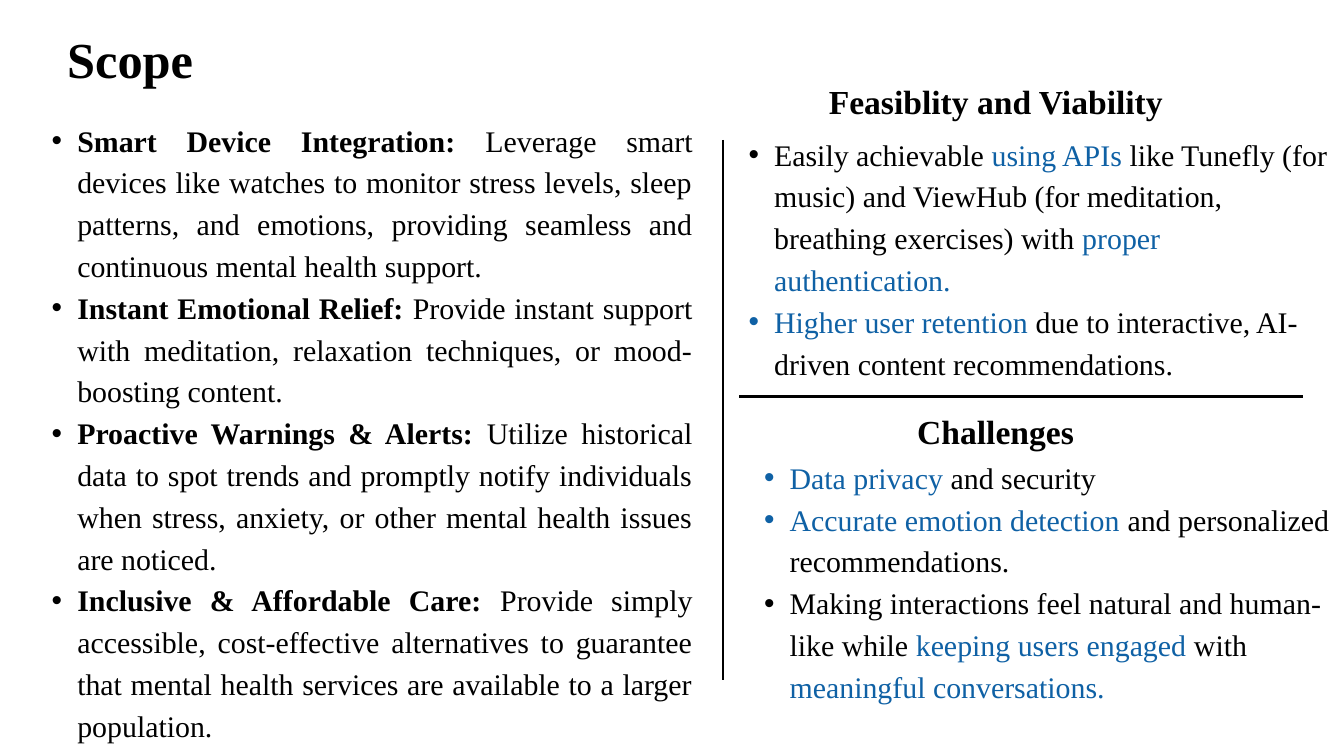
"""Build the slide on scope, feasibility and challenges of a wellbeing app."""
from lxml import etree
from pptx import Presentation
from pptx.dml.color import RGBColor
from pptx.enum import shapes, text
from pptx.oxml import ns
from pptx.util import Inches, Pt

BLACK = RGBColor(0x00, 0x00, 0x00)
BLUE = RGBColor(0x0F, 0x61, 0xA5)
FONT = "Times New Roman"
BODY_SIZE = 32
BODY_SPACING = 44.8
INDENT = 0.38

PLAIN = (BLACK, False)
STRONG = (BLACK, True)
ACCENT = (BLUE, False)

SCOPE = [
    [("Smart Device Integration: ", STRONG),
     ("Leverage smart devices like watches to monitor stress levels, sleep patterns, "
      "and emotions, providing seamless and continuous mental health support.", PLAIN)],
    [("Instant Emotional Relief: ", STRONG),
     ("Provide instant support with meditation, relaxation techniques, or "
      "mood-boosting content.", PLAIN)],
    [("Proactive Warnings & Alerts:", STRONG),
     (" Utilize historical data to spot trends and promptly notify individuals when "
      "stress, anxiety, or other mental health issues are noticed.", PLAIN)],
    [("Inclusive & Affordable Care:", STRONG),
     (" Provide simply accessible, cost-effective alternatives to guarantee that "
      "mental health services are available to a larger population.", PLAIN)],
]
FEASIBILITY = [
    [("Easily achievable ", PLAIN), ("using APIs", ACCENT),
     (" like Tunefly (for music) and ViewHub (for meditation, breathing exercises) "
      "with ", PLAIN),
     ("proper authentication.", ACCENT)],
    [("Higher user retention", ACCENT),
     (" due to interactive, AI-driven content recommendations.", PLAIN)],
]
CHALLENGES = [
    [("Data privacy", ACCENT), (" and security", PLAIN)],
    [("Accurate emotion detection", ACCENT),
     (" and personalized recommendations.", PLAIN)],
    [("Making interactions feel natural and human-like while ", PLAIN),
     ("keeping users engaged", ACCENT), (" with ", PLAIN),
     ("meaningful conversations.", ACCENT)],
]


def add_frame(slide, left, top, width, height):
    """Add a wrapping text frame without margins."""
    box = slide.shapes.add_textbox(Inches(left), Inches(top), Inches(width), Inches(height))
    frame = box.text_frame
    frame.word_wrap = True
    frame.margin_left = frame.margin_top = frame.margin_right = frame.margin_bottom = 0
    return frame


def add_run(paragraph, words, size, style):
    """Add one run in a (colour, bold) style."""
    run = paragraph.add_run()
    run.text = words
    run.font.name = FONT
    run.font.size = Pt(size)
    run.font.color.rgb, run.font.bold = style


def add_heading(slide, area, words, size, spacing, align):
    """Add a bold one-line heading."""
    heading = add_frame(slide, *area).paragraphs[0]
    heading.alignment = align
    heading.line_spacing = Pt(spacing)
    add_run(heading, words, size, STRONG)


def set_bullet(paragraph):
    """Give a paragraph a round bullet with a hanging indent."""
    properties = paragraph._p.get_or_add_pPr()
    properties.set("marL", str(Inches(2 * INDENT)))
    properties.set("indent", str(-Inches(INDENT)))
    font = etree.SubElement(properties, ns.qn("a:buFont"))
    font.set("typeface", "Arial")
    etree.SubElement(properties, ns.qn("a:buChar")).set("char", "•")


def add_bullets(slide, area, points, align):
    """Add a bulleted list whose points are lists of styled runs."""
    frame = add_frame(slide, *area)
    for number, point in enumerate(points):
        paragraph = frame.add_paragraph() if number else frame.paragraphs[0]
        paragraph.level = 1
        paragraph.alignment = align
        paragraph.line_spacing = Pt(BODY_SPACING)
        set_bullet(paragraph)
        for words, style in point:
            add_run(paragraph, words, BODY_SIZE, style)


def add_divider(slide, *ends):
    """Add a black rule between two points."""
    rule = slide.shapes.add_connector(
        shapes.MSO_CONNECTOR.STRAIGHT, *(Inches(end) for end in ends))
    rule.line.color.rgb = BLACK
    rule.line.width = Pt(3)
    etree.SubElement(rule._element.spPr, ns.qn("a:effectLst"))


def main():
    """Build and save the slide."""
    deck = Presentation()
    deck.slide_width, deck.slide_height = Inches(20), Inches(11.25)
    slide = deck.slides.add_slide(deck.slide_layouts[6])
    left, centre, justify = (
        text.PP_ALIGN.LEFT, text.PP_ALIGN.CENTER, text.PP_ALIGN.JUSTIFY)

    add_heading(slide, (1, 0.42, 18.64, 1.45), "Scope", 54, 64.8, left)
    add_divider(slide, 10.76, 2.08, 10.76, 10.12)
    add_heading(slide, (5.5, 1.11, 18.64, 0.75), "Feasiblity and Viability", 36, 50.4, centre)
    add_divider(slide, 19.39, 5.9, 10.99, 5.9)
    add_heading(slide, (13.62, 6.01, 2.39, 0.75), "Challenges ", 36, 50.4, centre)
    add_bullets(slide, (10.99, 6.75, 9.01, 3.73), CHALLENGES, left)
    add_bullets(slide, (0.39, 1.73, 9.92, 11.72), SCOPE, justify)
    add_bullets(slide, (10.76, 1.94, 9.01, 3.73), FEASIBILITY, left)
    deck.save("out.pptx")


if __name__ == "__main__":
    main()
